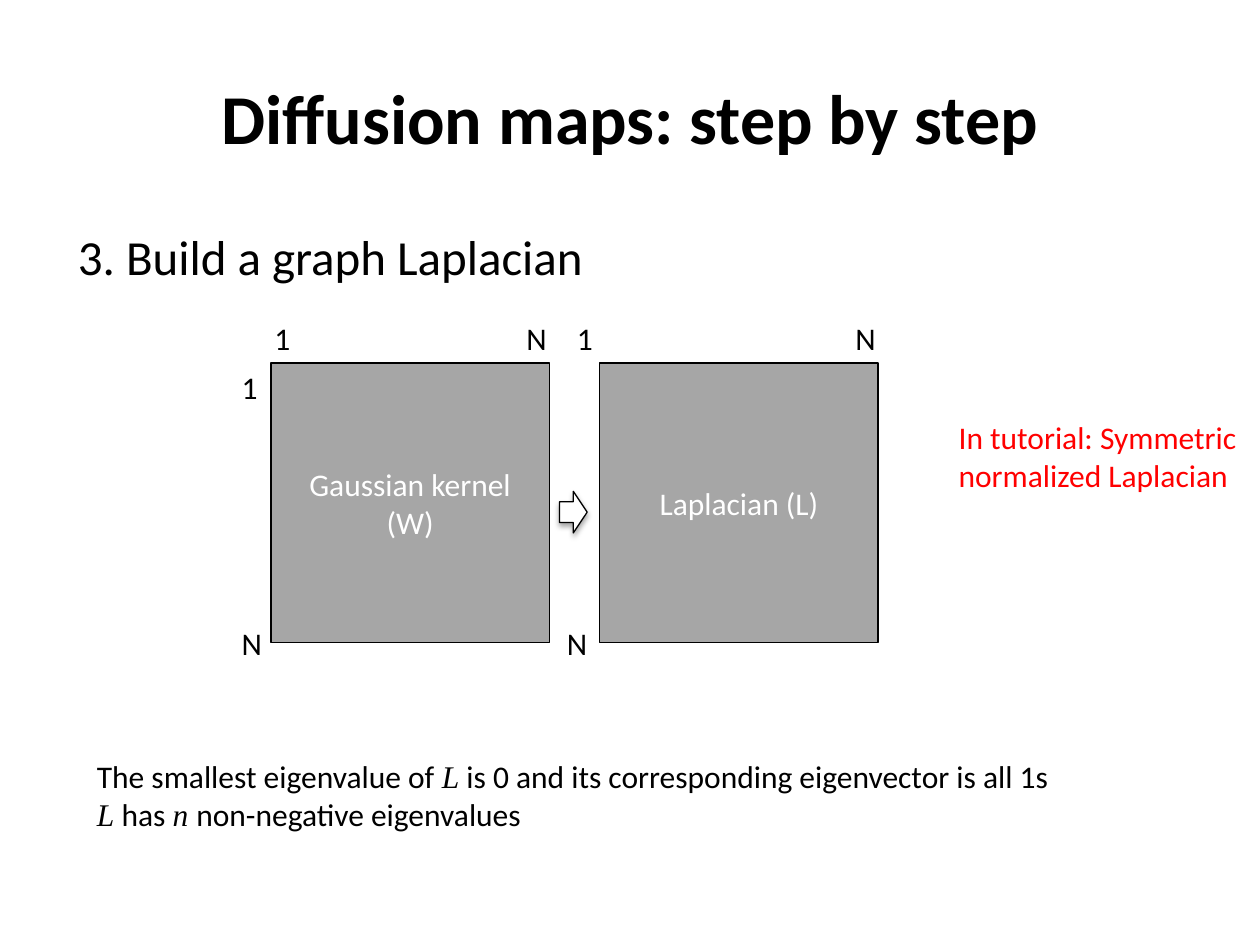
from dataclasses import dataclass

from lxml.etree import SubElement
from pptx import Presentation
from pptx.dml.color import RGBColor
from pptx.enum.shapes import MSO_SHAPE as Shape
from pptx.enum.text import MSO_ANCHOR as Anchor, MSO_AUTO_SIZE as AutoSize, PP_ALIGN as Align
from pptx.oxml.ns import qn
from pptx.util import Inches, Pt


@dataclass(frozen=True)
class Theme:
    font: str = "Calibri"
    math_font: str = "Times New Roman"
    black: RGBColor = RGBColor(0, 0, 0)
    white: RGBColor = RGBColor(255, 255, 255)
    gray: RGBColor = RGBColor(0xA6, 0xA6, 0xA6)
    red: RGBColor = RGBColor(255, 0, 0)
    title_size: Pt = Pt(40)
    heading_size: Pt = Pt(28)
    body_size: Pt = Pt(18)
    line_width: Pt = Pt(0.75)


class SlideBuilder:
    def __init__(self, slide, theme):
        self.slide = slide
        self.theme = theme

    def style(self, run, size, color, bold=False, math=False):
        font = run.font
        font.name = self.theme.math_font if math else self.theme.font
        font.size = size
        font.color.rgb = color
        font.bold = bold
        font.italic = math

    def text(self, lines, left, top, width, height, size=None, color=None,
             bold=False, align=Align.LEFT, anchor=Anchor.TOP, wrap=True, grow=True):
        """Add a text box; each line is a list of pieces, and *pieces are math."""
        box = self.slide.shapes.add_textbox(*map(Inches, (left, top, width, height)))
        frame = box.text_frame
        frame.word_wrap = wrap
        frame.auto_size = AutoSize.SHAPE_TO_FIT_TEXT if grow else AutoSize.NONE
        frame.vertical_anchor = anchor
        for index, pieces in enumerate(lines):
            paragraph = frame.add_paragraph() if index else frame.paragraphs[0]
            paragraph.alignment = align
            for piece in pieces:
                run = paragraph.add_run()
                run.text = piece.removeprefix("*")
                self.style(run, size or self.theme.body_size, color or self.theme.black,
                           bold, math=piece.startswith("*"))

    def label(self, text, left, top):
        self.text([[text]], left, top, 0.36 if text == "N" else 0.33, 0.4, wrap=False)

    def shape(self, kind, left, top, width, height, fill):
        shape = self.slide.shapes.add_shape(kind, *map(Inches, (left, top, width, height)))
        shape.shadow.inherit = False
        shape.fill.solid()
        shape.fill.fore_color.rgb = fill
        shape.line.color.rgb = self.theme.black
        shape.line.width = self.theme.line_width
        return shape

    def matrix(self, name, left, top, width, height):
        shape = self.shape(Shape.RECTANGLE, left, top, width, height, self.theme.gray)
        frame = shape.text_frame
        frame.text = name
        frame.word_wrap = True
        frame.vertical_anchor = Anchor.MIDDLE
        paragraph = frame.paragraphs[0]
        paragraph.alignment = Align.CENTER
        self.style(paragraph.runs[0], self.theme.body_size, self.theme.white)

    def arrow(self, left, top, width, height):
        """Add a right arrow with a soft shadow below it."""
        shape = self.shape(Shape.RIGHT_ARROW, left, top, width, height, self.theme.white)
        effects = shape.element.spPr.find(qn("a:effectLst"))
        shadow = SubElement(effects, qn("a:outerShdw"), blurRad=str(Pt(3.1)),
                            dist=str(Pt(1.8)), dir="5400000", rotWithShape="0")
        color = SubElement(shadow, qn("a:srgbClr"), val=str(self.theme.black))
        SubElement(color, qn("a:alpha"), val="35000")


def main():
    theme = Theme()
    presentation = Presentation()
    presentation.slide_width = Inches(10)
    presentation.slide_height = Inches(7.5)
    slide = presentation.slides.add_slide(presentation.slide_layouts[6])
    builder = SlideBuilder(slide, theme)

    builder.text([["Diffusion maps: step by step"]], 0.5, 0.3, 9, 1.25, theme.title_size,
                 bold=True, align=Align.CENTER, anchor=Anchor.MIDDLE, grow=False)
    builder.text([["3. Build a graph Laplacian"]], 0.52, 1.75, 9, 0.59,
                 theme.heading_size, grow=False)

    for name, left in (("Gaussian kernel (W)", 2.15), ("Laplacian (L)", 4.76)):
        builder.matrix(name, left, 2.88, 2.21, 2.22)
    builder.arrow(4.44, 3.9, 0.22, 0.33)

    column_top, row_bottom = 2.48, 4.9
    for text, left in (("1", 2.08), ("N", 4.08), ("1", 4.48), ("N", 6.69)):
        builder.label(text, left, column_top)
    builder.label("1", 1.82, 2.87)
    for left in (1.82, 4.4):
        builder.label("N", left, row_bottom)

    builder.text([
        ["The smallest eigenvalue of ", "*L", " is 0 and its corresponding eigenvector is all 1s"],
        ["*L ", "has ", "*n ", "non-negative eigenvalues"],
    ], 0.67, 5.96, 8.65, 0.71)
    builder.text([["In tutorial: Symmetric normalized Laplacian"]],
                 7.51, 3.27, 2.49, 0.71, color=theme.red)

    presentation.save("out.pptx")


if __name__ == "__main__":
    main()
